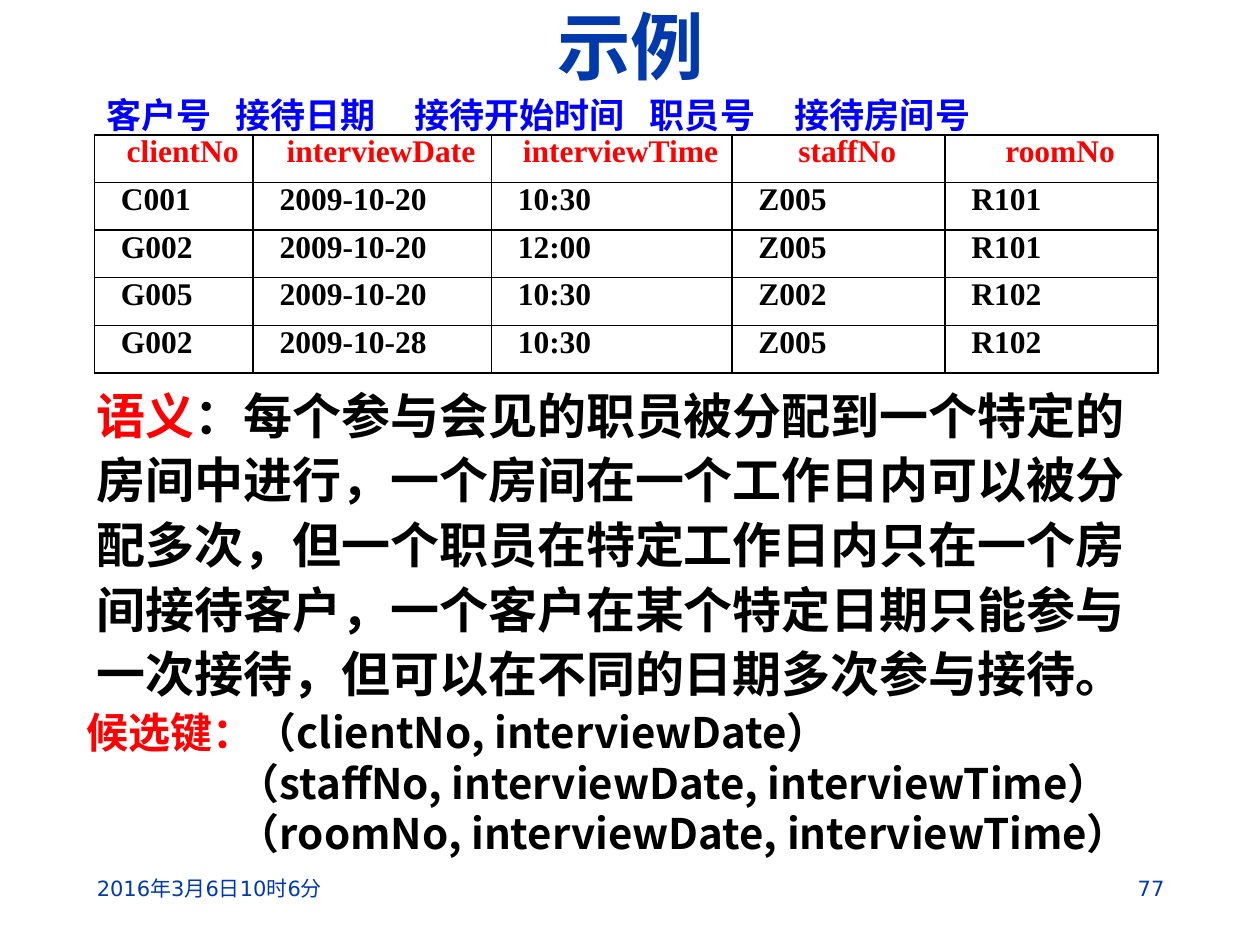
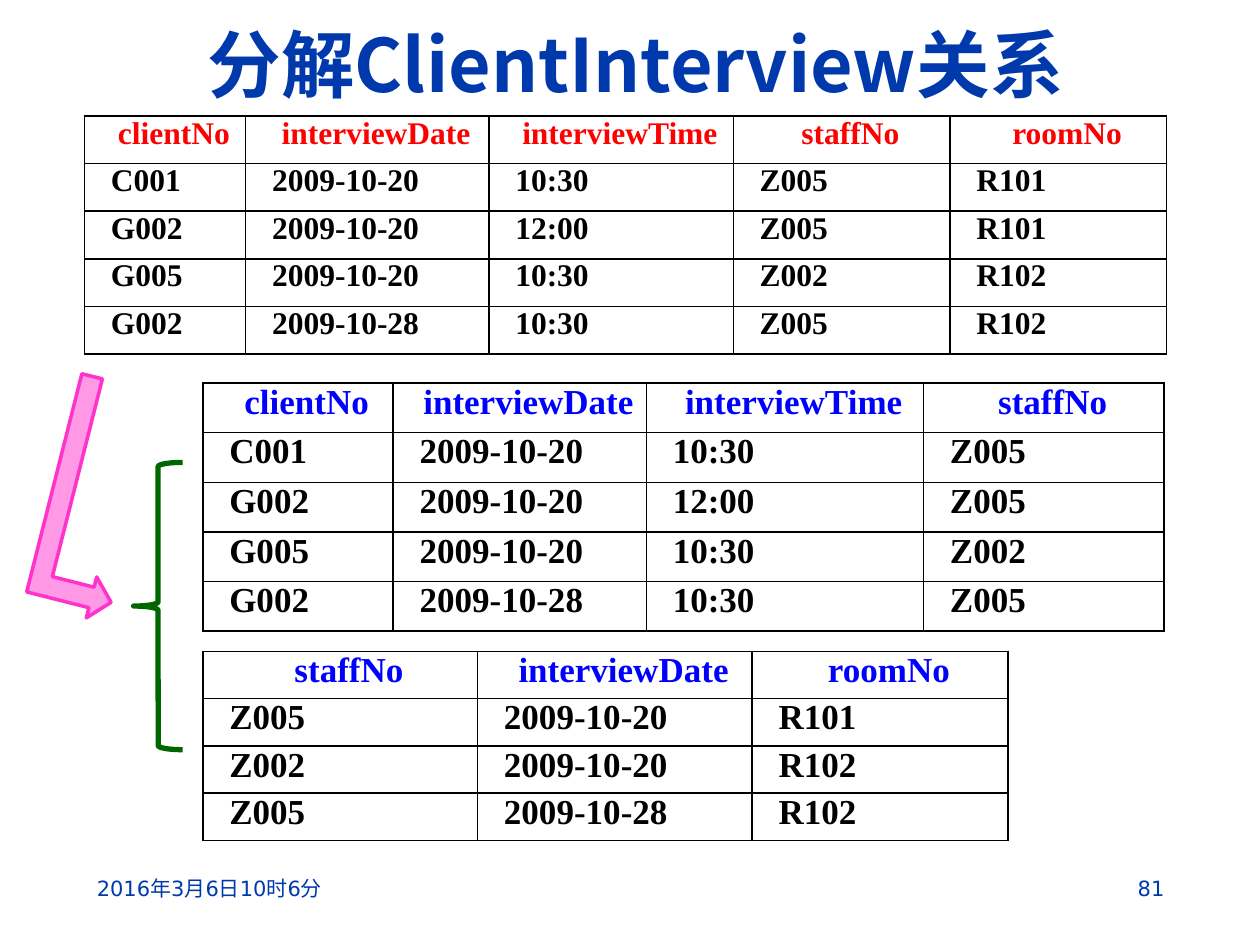
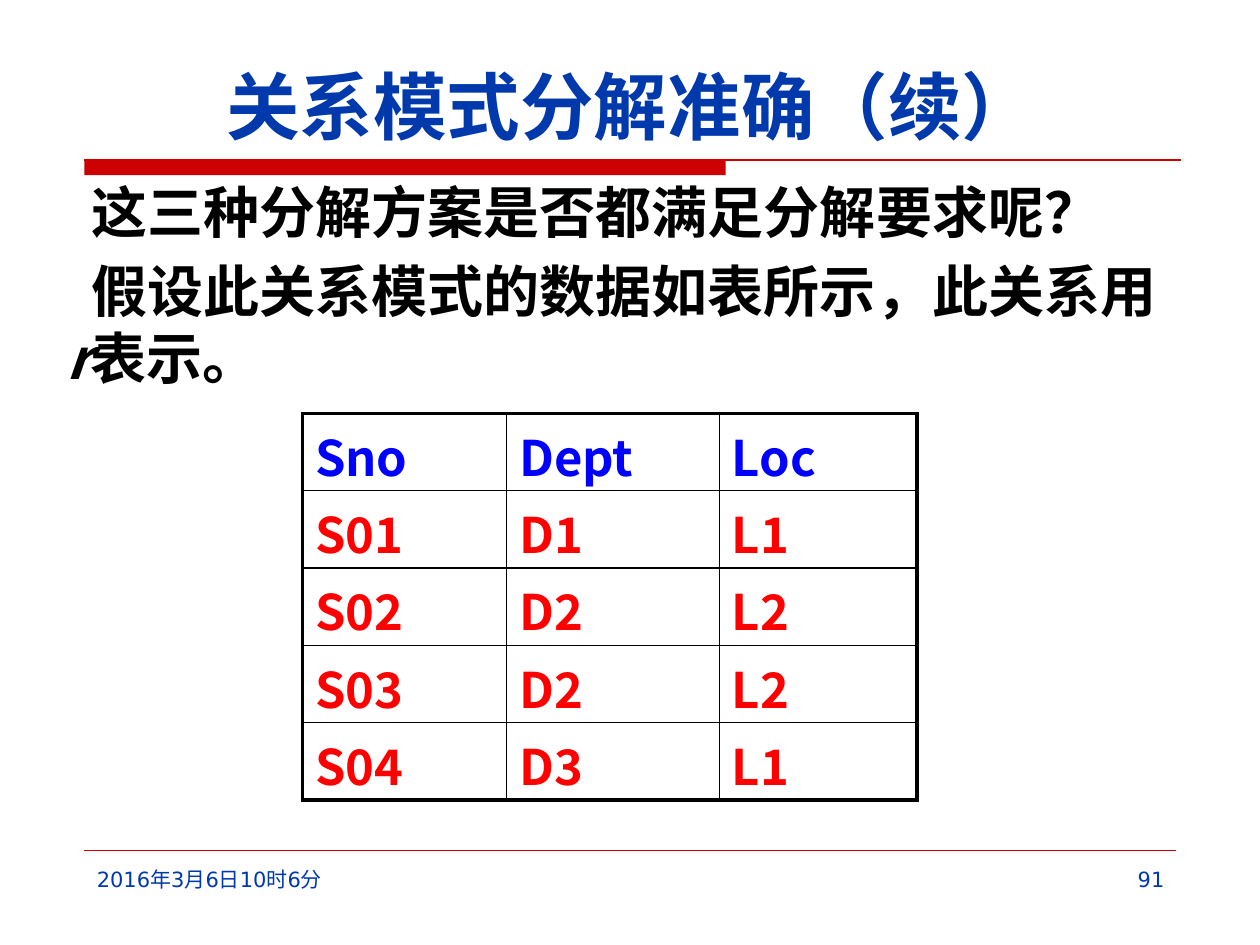
from lxml.etree import SubElement
from pptx import Presentation
from pptx.dml.color import RGBColor
from pptx.enum.shapes import MSO_CONNECTOR, MSO_SHAPE
from pptx.enum.text import MSO_ANCHOR, PP_ALIGN
from pptx.oxml.ns import qn
from pptx.util import Inches, Pt

BLUE, RED, NAVY, BLACK = "0000FF", "FF0000", "0039AC", "000000"
BAND_RED, GREEN, PINK = "CC0000", "006600", "FF33CC"
SANS, KEYS_FONT, GRID_FONT = "Noto Sans CJK SC", "Noto Sans CJK JP", "Noto Sans CJK KR"
SERIF, FOOTER_FONT = "Times New Roman", "DejaVu Sans"
DATE = "2016年3月6日10时6分"

INTERVIEWS = [
    ["clientNo", "interviewDate", "interviewTime", "staffNo", "roomNo"],
    ["C001", "2009-10-20", "10:30", "Z005", "R101"],
    ["G002", "2009-10-20", "12:00", "Z005", "R101"],
    ["G005", "2009-10-20", "10:30", "Z002", "R102"],
    ["G002", "2009-10-28", "10:30", "Z005", "R102"],
]
ROOMS = [
    ["staffNo", "interviewDate", "roomNo"],
    ["Z005", "2009-10-20", "R101"],
    ["Z002", "2009-10-20", "R102"],
    ["Z005", "2009-10-28", "R102"],
]
LOCATIONS = [
    ["Sno", "Dept", "Loc"],
    ["S01", "D1", "L1"],
    ["S02", "D2", "L2"],
    ["S03", "D2", "L2"],
    ["S04", "D3", "L1"],
]


def rgb(color):
    return RGBColor.from_string(color)


def set_all(target, values):
    for name, value in values.items():
        setattr(target, name, value)


def font(name, size, color, bold=True):
    return {"name": name, "size": Pt(size), "color": color, "bold": bold}


class Deck:
    """Holds the presentation, its shared style and the slide being built."""

    def __init__(self):
        self.prs = Presentation()
        self.prs.slide_width, self.prs.slide_height = Inches(10), Inches(7.5)
        self.shapes = None

    def new_slide(self, title, title_box, number, footer_top=6.9):
        self.shapes = self.prs.slides.add_slide(self.prs.slide_layouts[6]).shapes
        self.text(title_box, [[(title, {})]], font(SANS, 42, NAVY),
                  {"alignment": PP_ALIGN.CENTER}, MSO_ANCHOR.BOTTOM)
        small = font(FOOTER_FONT, 12, NAVY, False)
        height = 7.35 - footer_top
        self.text((0.67, footer_top, 2.21, height), [[(DATE, {})]], small)
        self.text((7.17, footer_top, 2.17, height), [[(number, {})]], small,
                  {"alignment": PP_ALIGN.RIGHT})

    def run(self, paragraph, text, style):
        run = paragraph.add_run()
        run.text = text
        values = dict(style)
        run.font.color.rgb = rgb(values.pop("color"))
        set_all(run.font, values)
        SubElement(run.font._element, qn("a:ea")).set("typeface", style["name"])

    def indent(self, paragraph, first=0, left=0):
        properties = paragraph._p.get_or_add_pPr()
        properties.set("marL", str(Inches(left)))
        properties.set("indent", str(Inches(first)))

    def text(self, box, paragraphs, style, layout=None, anchor=MSO_ANCHOR.TOP):
        """Add paragraphs, each a list of (text, style changes); return them."""
        frame = self.shapes.add_textbox(*map(Inches, box)).text_frame
        set_all(frame, {"word_wrap": True, "vertical_anchor": anchor})
        for i, runs in enumerate(paragraphs):
            paragraph = frame.add_paragraph() if i else frame.paragraphs[0]
            set_all(paragraph, layout or {})
            for words, changes in runs:
                self.run(paragraph, words, {**style, **changes})
        return frame.paragraphs

    def shape(self, kind, box, fill=None, line=None, width=1):
        shape = self.shapes.add_shape(kind, *map(Inches, box))
        shape.shadow.inherit = False
        if fill:
            shape.fill.solid()
            shape.fill.fore_color.rgb = rgb(fill)
        else:
            shape.fill.background()
        if line:
            shape.line.color.rgb = rgb(line)
            shape.line.width = Pt(width)
        else:
            shape.line.fill.background()
        return shape

    def rule(self, left, right, y, width):
        ends = map(Inches, (left, y, right, y))
        line = self.shapes.add_connector(MSO_CONNECTOR.STRAIGHT, *ends)
        line.line.color.rgb = rgb(BAND_RED)
        line.line.width = Pt(width)
        SubElement(line._element.spPr, qn("a:effectLst"))

    def border(self, cell, widths):
        """Draw the cell's left, right, top and bottom border in points."""
        properties = cell._tc.get_or_add_tcPr()
        for side, width in zip("LRTB", widths):
            edge = SubElement(properties, qn("a:ln" + side), w=str(Pt(width)))
            SubElement(SubElement(edge, qn("a:solidFill")), qn("a:srgbClr"), val=BLACK)

    def table(self, left, top, height, columns, rows, head, body, outer=1, padded=False):
        """Add a grid; padded cells keep default margins and left alignment."""
        last_row, last_column = len(rows) - 1, len(columns) - 1
        table = self.shapes.add_table(len(rows), len(columns), Inches(left), Inches(top),
                                      Inches(sum(columns)), Inches(height)).table
        set_all(table, {"first_row": False, "horz_banding": False})
        for column, width in zip(table.columns, columns):
            column.width = Inches(width)
        for r, row in enumerate(rows):
            for c, words in enumerate(row):
                cell = table.cell(r, c)
                paragraph = cell.text_frame.paragraphs[0]
                self.run(paragraph, words, body if r else head)
                if not padded:
                    set_all(cell, {"margin_left": Inches(0.07), "margin_right": Inches(0.07),
                                   "margin_top": 0, "margin_bottom": 0})
                    paragraph.alignment = PP_ALIGN.JUSTIFY if r else PP_ALIGN.CENTER
                    self.indent(paragraph, first=0.14)
                on_edge = (c == 0, c == last_column, r == 0, r == last_row)
                self.border(cell, [outer if edge else 1 for edge in on_edge])
                cell.fill.background()


def example_slide(deck):
    deck.new_slide("示例", (0.63, 0.05, 8.75, 0.71), "77")
    deck.table(0.75, 1.07, 1.89, [1.26, 1.89, 1.91, 1.69, 1.69], INTERVIEWS,
               font(SERIF, 18, RED), font(SERIF, 18, BLACK))
    deck.text((0.67, 2.96, 8.66, 2.69), [[
        ("语义", {"color": RED}),
        ("：每个参与会见的职员被分配到一个特定的房间中进行，一个房间在一个工作日内可以被分配多次，"
         "但一个职员在特定工作日内只在一个房间接待客户，一个客户在某个特定日期只能参与一次接待，"
         "但可以在不同的日期多次参与接待。", {})]],
        font(SANS, 28, BLACK), {"line_spacing": 1.1})

    meanings = "客户号\t接待日期\t接待开始时间\t职员号\t接待房间号"
    caption = deck.text((0.75, 0.69, 8.35, 0.44), [[(meanings, {})]], font(SANS, 20, BLUE))[0]
    tabs = SubElement(caption._p.get_or_add_pPr(), qn("a:tabLst"))
    for stop in (1.02, 2.44, 4.31, 5.46):
        SubElement(tabs, qn("a:tab"), pos=str(Inches(stop)), algn="l")

    keys = deck.text((0.59, 5.56, 8.74, 1.31), [
        [("候选键：", {"color": RED}), ("（clientNo, interviewDate）", {})],
        [("（staffNo, interviewDate, interviewTime）", {})],
        [("（roomNo, interviewDate, interviewTime）", {})]],
        font(KEYS_FONT, 24, BLACK))
    for key in keys[1:]:
        deck.indent(key, left=1.2)


def decomposition_slide(deck):
    deck.new_slide("分解ClientInterview关系", (0.67, 0.13, 8.75, 0.77), "81")
    part_head, part_body = font(SERIF, 20, BLUE), font(SERIF, 20, BLACK)
    deck.table(1.61, 3.04, 1.97, [1.51, 2.01, 2.2, 1.91],
               [row[:4] for row in INTERVIEWS], part_head, part_body)
    deck.table(1.61, 5.17, 1.5, [2.18, 2.18, 2.03], ROOMS, part_head, part_body)
    deck.table(0.67, 0.92, 1.89, [1.28, 1.93, 1.94, 1.72, 1.72], INTERVIEWS,
               font(SERIF, 18, RED), font(SERIF, 18, BLACK))
    deck.shape(MSO_SHAPE.LEFT_BRACE, (1.06, 3.67, 0.39, 2.28), line=GREEN, width=3)
    arrow = deck.shape(MSO_SHAPE.BENT_UP_ARROW, (-0.19, 3.62, 1.87, 0.67), PINK, PINK, 2)
    arrow.rotation = 104.2
    arrow.adjustments[2] = 0.24
    fill_color = arrow._element.spPr.find(qn("a:solidFill"))[0]
    SubElement(fill_color, qn("a:alpha"), val="50000")


def criteria_slide(deck):
    deck.new_slide("关系模式分解准确（续）", (0.63, 0.33, 8.75, 0.9), "91", 6.83)
    deck.shape(MSO_SHAPE.RECTANGLE, (0.67, 1.27, 5.09, 0.12), BAND_RED)
    deck.rule(0.67, 9.37, 1.27, 0.75)
    deck.rule(0.67, 9.33, 6.75, 0.25)
    questions = deck.text((0.43, 1.47, 8.9, 1.57), [
        [("这三种分解方案是否都满足分解要求呢？", {})],
        [("假设此关系模式的数据如表所示，此关系用", {}), ("r", {"italic": True}), ("表示。", {})]],
        font(SANS, 32, BLACK), {"space_before": Pt(6.4)}, MSO_ANCHOR.MIDDLE)
    for question in questions:
        deck.indent(question, first=0.2)
    deck.table(2.4, 3.28, 3.07, [1.62, 1.69, 1.57], LOCATIONS,
               font(GRID_FONT, 28, BLUE), font(GRID_FONT, 28, RED), outer=2.25, padded=True)


def main():
    deck = Deck()
    example_slide(deck)
    decomposition_slide(deck)
    criteria_slide(deck)
    deck.prs.save("out.pptx")


if __name__ == "__main__":
    main()
